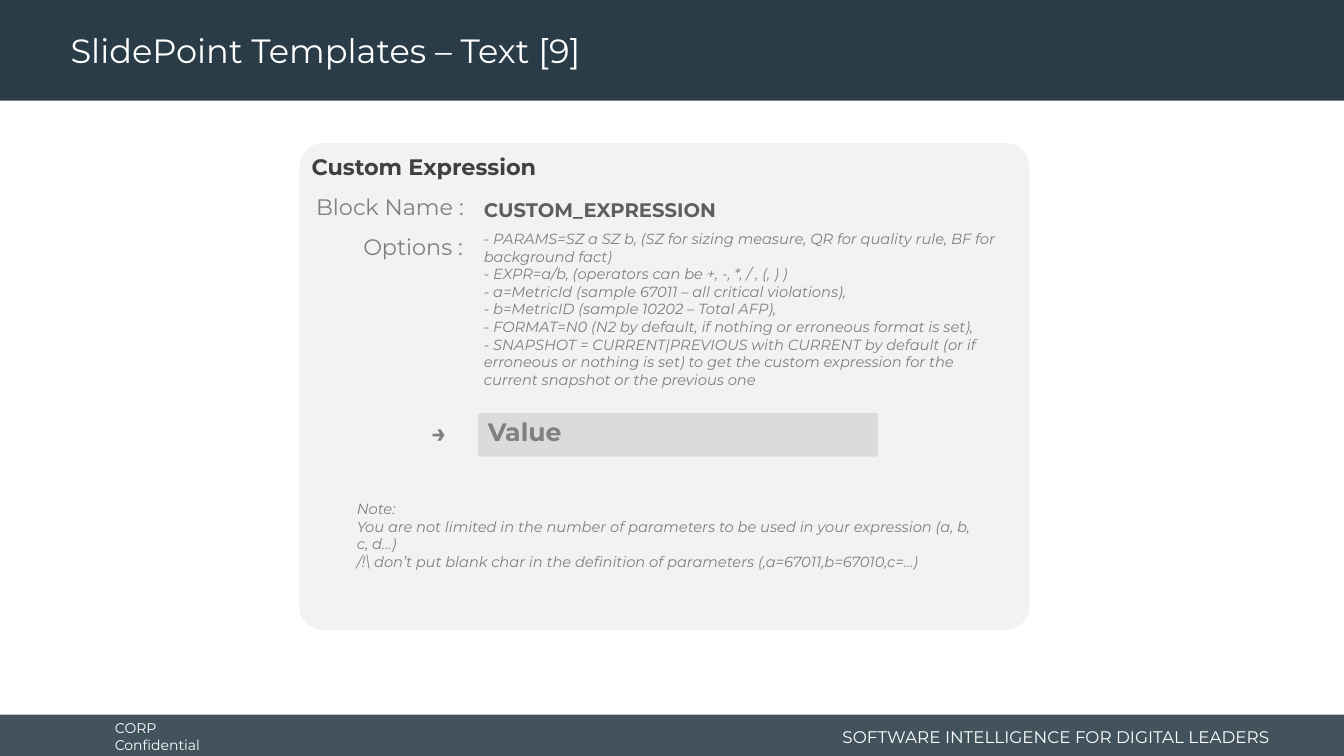
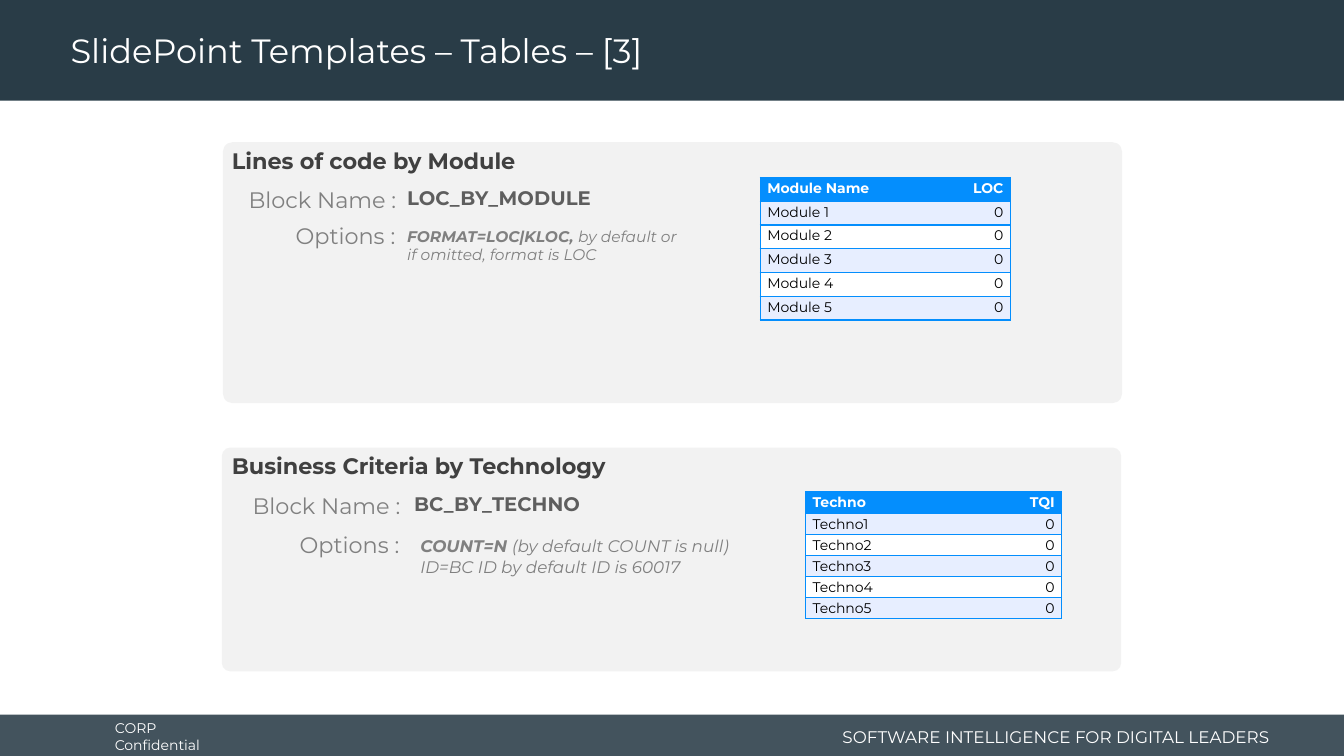
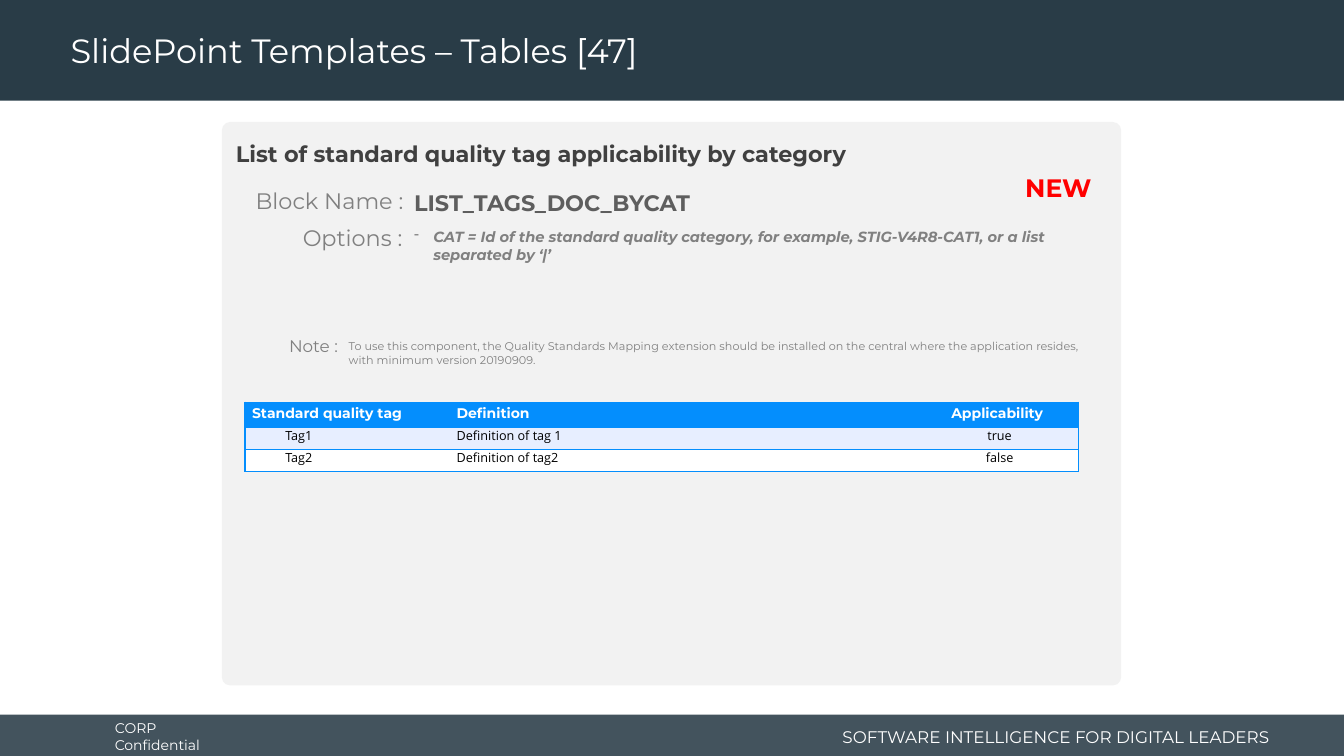
from lxml import etree
from pptx import Presentation
from pptx.dml.color import RGBColor
from pptx.enum.shapes import MSO_SHAPE
from pptx.enum.text import MSO_ANCHOR, MSO_AUTO_SIZE, PP_ALIGN
from pptx.oxml.ns import qn
from pptx.util import Inches, Pt

RECT, ROUND = MSO_SHAPE.RECTANGLE, MSO_SHAPE.ROUNDED_RECTANGLE
LEFT, RIGHT, CENTER = PP_ALIGN.LEFT, PP_ALIGN.RIGHT, PP_ALIGN.CENTER
TOP, MIDDLE = MSO_ANCHOR.TOP, MSO_ANCHOR.MIDDLE
FONT = "Montserrat"
COLORS = {
    "navy": "293C47", "white": "FFFFFF", "panel": "F2F2F2", "dark": "404040",
    "name": "5E5E5E", "grey": "808080", "value": "BFBFBF", "blue": "048EFD",
    "pale": "E7EEFF", "black": "000000", "red": "FF0000",
}


def rgb(name):
    return RGBColor.from_string(COLORS[name])


def inches(box):
    return [Inches(round(v, 2)) for v in box]


def shape(slide, kind, box, color, alpha=None, round_by=None):
    item = slide.shapes.add_shape(kind, *inches(box))
    item.shadow.inherit = False
    item.fill.solid()
    item.fill.fore_color.rgb = rgb(color)
    item.line.fill.background()
    if round_by is not None:
        item.adjustments[0] = round_by
    if alpha:
        clr = item.element.spPr.find(".//" + qn("a:srgbClr"))
        etree.SubElement(clr, qn("a:alpha"), val=str(alpha * 1000))
    return item


def write(frame, paras, size=10, color="grey", bold=False, italic=False,
          font=FONT, align=LEFT, space=None, bullet=None, indent=0):
    for i, para in enumerate(paras if isinstance(paras, list) else [paras]):
        p = frame.paragraphs[0] if i == 0 else frame.add_paragraph()
        p.alignment = align
        if space:
            p.line_spacing = space
        if indent:
            props = p._p.get_or_add_pPr()
            props.set("marL", str(Inches(indent)))
            if bullet:
                props.set("indent", str(-Inches(indent)))
                etree.SubElement(props, qn("a:buChar"), char=bullet)
        runs = [(para, bold)] if isinstance(para, str) else para
        for words, heavy in runs:
            run = p.add_run()
            run.text = words
            face = run.font
            face.name, face.size = font, Pt(size)
            face.bold, face.italic = heavy, italic
            face.color.rgb = rgb(color)


def text(slide, box, paras, anchor=TOP, wrap=True, side=0.1, **form):
    item = slide.shapes.add_textbox(*inches(box))
    frame = item.text_frame
    frame.word_wrap = wrap
    frame.vertical_anchor = anchor
    frame.margin_left = frame.margin_right = Inches(side)
    write(frame, paras, **form)
    return item


def bands(slide, layout):
    parts = [
        shape(slide, RECT, (0, 7.09, 13.33, 0.41), "navy", alpha=88),
        shape(slide, RECT, (0, 0, 13.33, 1), "navy"),
        text(slide, (1.04, 7.11, 1.48, 0.4), "CORP Confidential",
             anchor=MIDDLE, wrap=False, color="white"),
        text(slide, (8.11, 7.15, 4.58, 0.32),
             "SOFTWARE INTELLIGENCE FOR DIGITAL LEADERS",
             anchor=MIDDLE, size=12, color="white", align=RIGHT),
    ]
    for part in parts:
        layout.shapes.element.append(part.element)


def page(deck, layout, title):
    slide = deck.slides.add_slide(layout)
    head = slide.shapes.title
    head.left, head.top, head.width, head.height = inches((0.6, 0.04, 9.58, 0.96))
    frame = head.text_frame
    frame.auto_size = MSO_AUTO_SIZE.NONE
    frame.word_wrap = True
    frame.vertical_anchor = MIDDLE
    write(frame, title, size=24, color="white", space=0.9)
    return slide


def label(slide, right, top, words, width, size=16):
    text(slide, (right - width, top, width, 0.37), words,
         wrap=False, size=size, align=RIGHT)


def card(slide, box, curve, head, head_at, name, name_at, edge, tops,
         name_size=14):
    x, y, w, h = box
    shape(slide, ROUND, box, "panel", round_by=curve)
    text(slide, (x + head_at[0], y + head_at[1], w, 0.37), head,
         side=0.2, size=16, color="dark", bold=True)
    text(slide, (x + name_at[0], y + name_at[1], w - name_at[0], 0.34), name,
         size=name_size, color="name", bold=True)
    label(slide, x + edge, y + tops[0], "Block Name :", 1.67)
    label(slide, x + edge - 0.01, y + tops[1], "Options :", 1.21)


def border(cell, sides):
    props = cell._tc.get_or_add_tcPr()
    for i, side in enumerate("LRTB"):
        line = etree.Element(qn("a:ln" + side), w=str(Pt(1)))
        if side in sides:
            fill = etree.SubElement(line, qn("a:solidFill"))
            etree.SubElement(fill, qn("a:srgbClr"), val=COLORS["blue"])
        else:
            etree.SubElement(line, qn("a:noFill"))
        props.insert(i, line)


def grid(slide, at, cols, tall, rows, aligns, body=None, forms=None):
    size = (sum(cols), sum(tall))
    table = slide.shapes.add_table(len(rows), len(cols), *inches(at + size)).table
    table.horz_banding = False
    for col, width in zip(table.columns, cols):
        col.width = Inches(width)
    for r, row in enumerate(rows):
        table.rows[r].height = Inches(tall[r])
        for c, words in enumerate(row):
            cell = table.cell(r, c)
            cell.margin_left = cell.margin_right = Inches(0.07)
            cell.margin_top = cell.margin_bottom = 0
            cell.fill.solid()
            shade = "blue" if r == 0 else "pale" if r % 2 else "white"
            cell.fill.fore_color.rgb = rgb(shade)
            last = c == len(cols) - 1
            border(cell, "TB" + "L" * (c == 0) + "R" * last)
            form = {"space": 1.15, "align": aligns[c], "bold": r == 0,
                    "color": "black" if r else "white"}
            if r:
                form.update(body or {})
                form.update(forms[c] if forms else {})
            write(cell.text_frame, words, **form)


def counts(slide, at, cols, high, heads, stem):
    rows = [heads] + [(f"{stem}{n}", "0") for n in range(1, 6)]
    grid(slide, at, cols, [high] * 6, rows, (LEFT, RIGHT))


def custom(slide, box):
    x, y = box[:2]
    card(slide, box, 0.049, "Custom Expression", (-0.08, 0.05),
         "CUSTOM_EXPRESSION", (1.73, 0.49), 1.73, (0.45, 0.84))
    text(slide, (x + 1.73, y + 0.81, 5.28, 1.69), [
        "- PARAMS=SZ a SZ b, (SZ for sizing measure, QR for quality rule, BF for background fact)",
        "- EXPR=a/b, (operators can be +, -, *, / , (, ) )",
        "- a=MetricId (sample 67011 – all critical violations),",
        "- b=MetricID (sample 10202 – Total AFP),",
        "- FORMAT=N0 (N2 by default, if nothing or erroneous format is set),",
        "- SNAPSHOT = CURRENT|PREVIOUS with CURRENT by default (or if erroneous or nothing is set) "
        "to get the custom expression for the current snapshot or the previous one",
    ], size=10.5, italic=True)
    text(slide, (x + 1.21, y + 2.67, 0.48, 0.44), "→", size=18, bold=True)
    shape(slide, ROUND, (x + 1.77, y + 2.68, 3.97, 0.43), "value",
          alpha=45, round_by=0.049)
    text(slide, (x + 1.77, y + 2.66, 4.2, 0.44), "Value", size=18, bold=True)
    text(slide, (x + 0.47, y + 3.49, 6.38, 0.81), [
        "Note:",
        "You are not limited in the number of parameters to be used in your expression (a, b, c, d…)",
        "/!\\ don’t put blank char in the definition of parameters (,a=67011,b=67010,c=…)",
    ], size=10.5, italic=True)


def modules(slide, box):
    x, y = box[:2]
    card(slide, box, 0.038, "Lines of code by Module", (-0.11, 0),
         "LOC_BY_MODULE", (1.73, 0.39), 1.82, (0.39, 0.74))
    text(slide, (x + 1.73, y + 0.79, 2.92, 0.47),
         [[("FORMAT=LOC|KLOC, ", True),
           ("by default or if omitted, format is LOC", False)]],
         size=11, italic=True)
    counts(slide, (x + 5.33, y + 0.35), (1.45, 1.03), 0.236,
           ("Module Name", "LOC"), "Module ")


def technos(slide, box):
    x, y = box[:2]
    card(slide, box, 0.038, "Business Criteria by Technology", (-0.1, 0),
         "BC_BY_TECHNO", (1.81, 0.39), 1.87, (0.39, 0.78))
    text(slide, (x + 1.87, y + 0.83, 3.9, 0.5),
         [[("COUNT=N ", True), ("(by default COUNT is null)", False)],
          "ID=BC ID by default ID is 60017"], size=12, italic=True)
    counts(slide, (x + 5.79, y + 0.44), (1.49, 1.05), 0.21,
           ("Techno", "TQI"), "Techno")


def tags(slide, box):
    x, y = box[:2]
    card(slide, box, 0.015,
         "List of standard quality tag applicability by category", (-0.06, 0.13),
         "LIST_TAGS_DOC_BYCAT", (1.81, 0.62), 1.9, (0.6, 0.96), name_size=16)
    text(slide, (x + 1.81, y + 1, 7.14, 0.45),
         "CAT = Id of the standard quality category, for example, STIG-V4R8-CAT1, "
         "or a list separated by ‘|’",
         size=10.5, bold=True, italic=True, bullet="-", indent=0.19)
    text(slide, (x + 1.16, y + 2.11, 7.65, 0.37),
         "To use this component, the Quality Standards Mapping extension should be installed "
         "on the central where the application resides, with minimum version 20190909.", size=8)
    label(slide, x + 1.25, y + 2.07, "Note :", 0.7, size=12)
    grid(slide, (x + 0.23, y + 2.78), (2.03, 4.62, 1.62), (0.25, 0.22, 0.22),
         [("Standard quality tag", "Definition", "Applicability"),
          ("Tag1", "Definition of tag 1", "true"),
          ("Tag2", "Definition of tag2", "false")],
         (LEFT, LEFT, CENTER),
         body={"size": 9, "font": "Open Sans", "space": Pt(12)},
         forms=({"indent": 0.33}, {}, {"indent": 0.05}))
    text(slide, (x + 7.87, y + 0.45, 1.67, 0.37), "NEW",
         size=18, color="red", bold=True)


def main():
    deck = Presentation()
    deck.slide_width, deck.slide_height = Inches(13.33), Inches(7.5)
    layout = deck.slide_layouts[5]
    first = page(deck, layout, "SlidePoint Templates – Text [9]")
    bands(first, layout)
    custom(first, (2.97, 1.42, 7.24, 4.83))
    second = page(deck, layout, "SlidePoint Templates – Tables – [3]")
    modules(second, (2.21, 1.41, 8.92, 2.59))
    technos(second, (2.2, 4.44, 8.92, 2.22))
    third = page(deck, layout, "SlidePoint Templates – Tables [47]")
    tags(third, (2.2, 1.21, 8.92, 5.59))
    deck.save("out.pptx")


if __name__ == "__main__":
    main()
